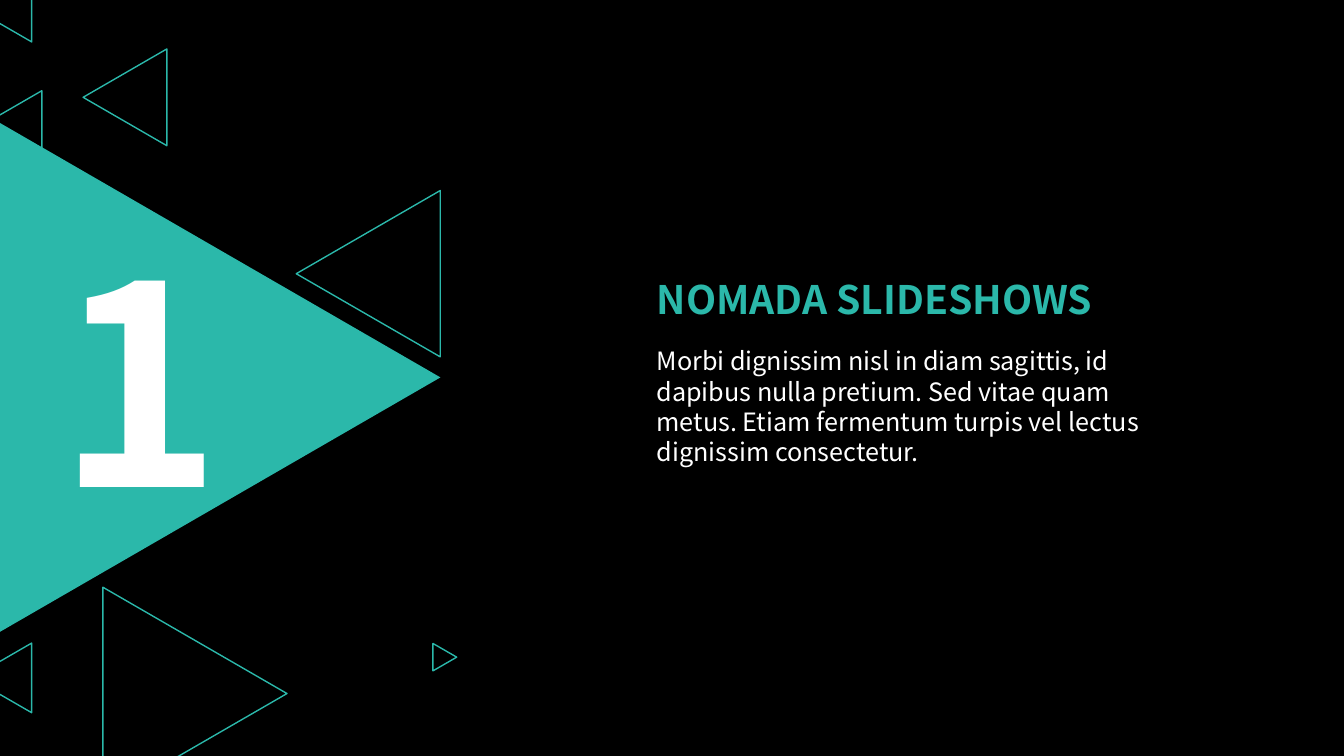
import math
from pptx import Presentation
from pptx.dml.color import RGBColor
from pptx.enum import shapes, text
from pptx.util import Pt

TEAL = RGBColor(0x2B, 0xB8, 0xAA)
WHITE = RGBColor(0xFF, 0xFF, 0xFF)
BLACK = RGBColor(0, 0, 0)
FONT = "Noto Sans CJK SC"
RIGHT, LEFT = 90, 270

# centre x, centre y, side, direction of the tip
OUTLINES = [
    (139.3, 495.4, 151.9, RIGHT),
    (263.2, 195.5, 118.8, LEFT),
    (-9.7, 110.5, 91.4, LEFT),
    (89.3, 69.5, 69.1, LEFT),
    (1.1, 484.2, 49.7, LEFT),
    (317.9, 469.4, 19.6, RIGHT),
    (-12.6, -10.8, 81.4, LEFT),
]
BODY = ("Morbi dignissim nisl in diam sagittis, id dapibus nulla pretium. "
        "Sed vitae quam metus. Etiam fermentum turpis vel lectus "
        "dignissim consectetur.")


def add_tri(group, x, y, side, turn, solid=False):
    """Add an equilateral triangle centred on x, y."""
    high = side * math.sqrt(3) / 2
    tri = group.shapes.add_shape(
        shapes.MSO_SHAPE.ISOSCELES_TRIANGLE,
        Pt(x - side / 2), Pt(y - high / 2), Pt(side), Pt(high))
    tri.rotation = turn
    tri.shadow.inherit = False
    if solid:
        tri.fill.solid()
        tri.fill.fore_color.rgb = TEAL
        tri.line.fill.background()
    else:
        tri.fill.background()
        tri.line.color.rgb = TEAL
        tri.line.width = Pt(1)


def set_text(box, words, size, color, bold=False, align=text.PP_ALIGN.LEFT):
    frame = box.text_frame
    frame.text = words
    frame.word_wrap = True
    frame.auto_size = text.MSO_AUTO_SIZE.NONE
    frame.vertical_anchor = text.MSO_ANCHOR.TOP
    para = frame.paragraphs[0]
    para.alignment = align
    para.font.name = FONT
    para.font.size = Pt(size)
    para.font.bold = bold
    para.font.color.rgb = color


def add_text(slide, x, y, wide, high, *style):
    box = slide.shapes.add_textbox(Pt(x), Pt(y), Pt(wide), Pt(high))
    set_text(box, *style)


def main():
    deck = Presentation()
    deck.slide_width, deck.slide_height = Pt(960.5), Pt(540)
    slide = deck.slides.add_slide(deck.slide_layouts[5])
    slide.background.fill.solid()
    slide.background.fill.fore_color.rgb = BLACK

    group = slide.shapes.add_group_shape()
    add_tri(group, 157, 269.6, 364.3, RIGHT, solid=True)
    for tri in OUTLINES:
        add_tri(group, *tri)

    add_text(slide, 1.4, 145.4, 196.6, 248.4,
             "1", 199, WHITE, True, text.PP_ALIGN.CENTER)
    title = slide.shapes.title
    title.left, title.top = Pt(462.2), Pt(193)
    title.width, title.height = Pt(409.7), Pt(41)
    set_text(title, "NOMADA SLIDESHOWS", 28, TEAL, True)
    add_text(slide, 462.2, 243.4, 393.1, 94.3, BODY, 18, WHITE)

    deck.save("out.pptx")


if __name__ == "__main__":
    main()
